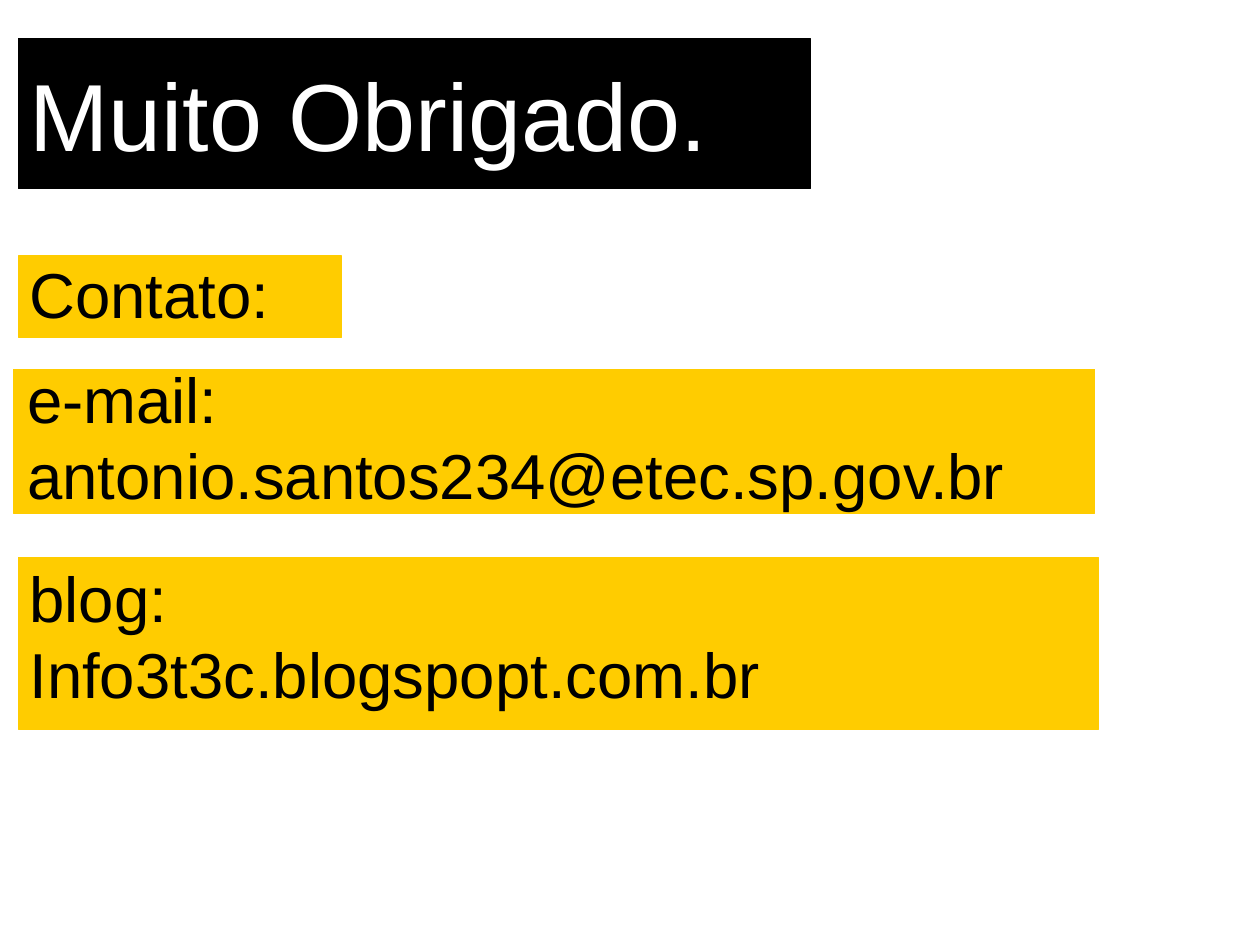
"""Builds the closing thank-you slide with contact details."""
import pptx
import pptx.dml.color
import pptx.enum.shapes
import pptx.enum.text
import pptx.util

Inches = pptx.util.Inches
BLACK = pptx.dml.color.RGBColor(0x00, 0x00, 0x00)
WHITE = pptx.dml.color.RGBColor(0xFF, 0xFF, 0xFF)
YELLOW = pptx.dml.color.RGBColor(0xFF, 0xCC, 0x00)

CM_PER_INCH = 2.54
SLIDE_CM = (28, 21)
THANKS = ("Muito Obrigado.", (0.16, 0.34, 6.93, 1.31))
CONTACTS = [
    (["Contato:"], (0.16, 2.24, 2.83, 0.71), (0.16, 2.18, 2.62, 1.4)),
    (["e-mail:", "antonio.santos234@etec.sp.gov.br"],
     (0.12, 3.23, 9.46, 1.26), (0.14, 3.1, 9.44, 2.14)),
    (["blog:", "Info3t3c.blogspopt.com.br"],
     (0.16, 4.88, 9.45, 1.5), (0.16, 4.84, 7.51, 1.46)),
]


def write(frame, lines, size, color, anchor):
    frame.word_wrap = True
    frame.vertical_anchor = anchor
    for index, line in enumerate(lines):
        paragraph = frame.paragraphs[0] if index == 0 else frame.add_paragraph()
        paragraph.alignment = pptx.enum.text.PP_ALIGN.LEFT
        run = paragraph.add_run()
        run.text = line
        run.font.name = "Arial"
        run.font.size = pptx.util.Pt(size)
        run.font.color.rgb = color


def add_band(slide, box, color):
    band = slide.shapes.add_shape(
        pptx.enum.shapes.MSO_SHAPE.RECTANGLE, *map(Inches, box))
    band.shadow.inherit = False
    band.fill.solid()
    band.fill.fore_color.rgb = color
    band.line.color.rgb = color
    band.line.width = pptx.util.Pt(0.75)
    return band


def main():
    deck = pptx.Presentation()
    deck.slide_width, deck.slide_height = (
        Inches(side / CM_PER_INCH) for side in SLIDE_CM)
    slide = deck.slides.add_slide(deck.slide_layouts[6])

    thanks, thanks_box = THANKS
    thanks_band = add_band(slide, thanks_box, BLACK)
    write(thanks_band.text_frame, [thanks], size=60, color=WHITE,
          anchor=pptx.enum.text.MSO_ANCHOR.MIDDLE)

    bands = [add_band(slide, band_box, YELLOW) for _, band_box, _ in CONTACTS]
    for lines, _, text_box in CONTACTS:
        contact = slide.shapes.add_textbox(*map(Inches, text_box))
        write(contact.text_frame, lines, size=40, color=BLACK,
              anchor=pptx.enum.text.MSO_ANCHOR.TOP)

    deck.save("out.pptx")


if __name__ == "__main__":
    main()
